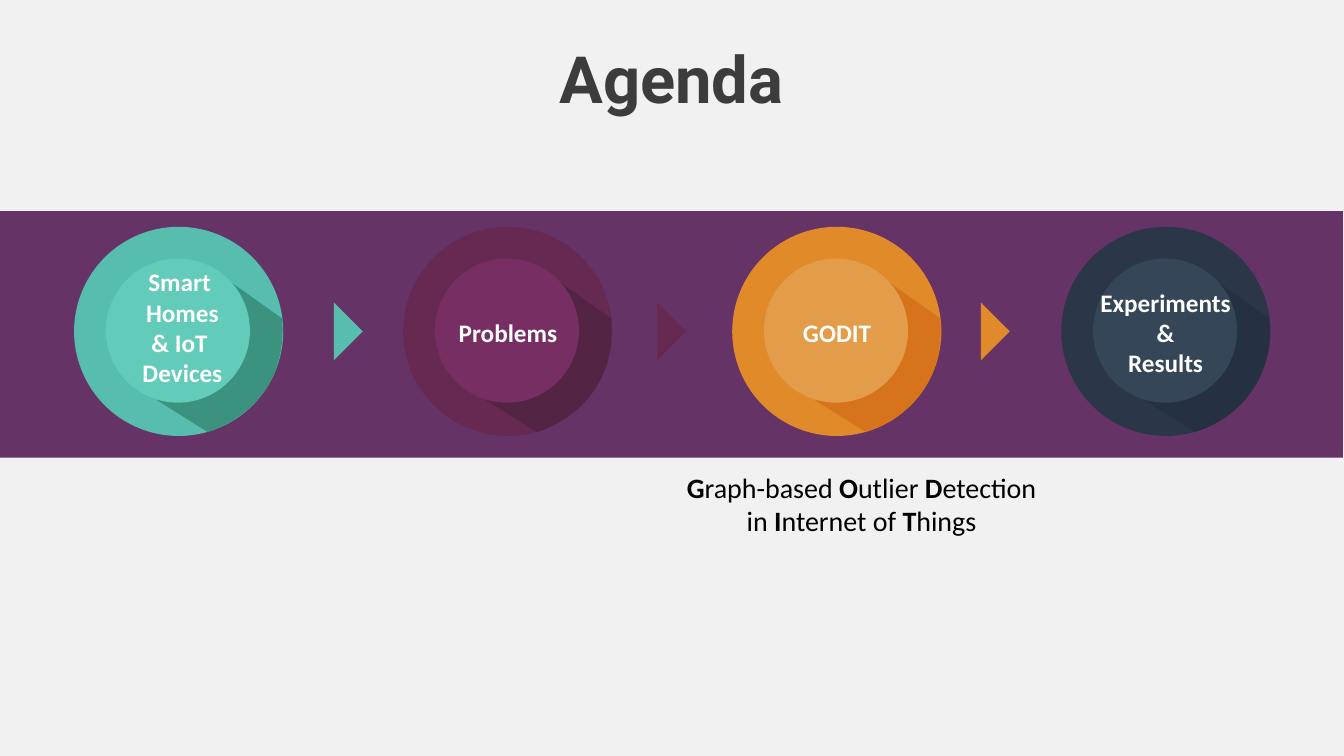
from dataclasses import dataclass

from pptx import Presentation
from pptx.dml.color import RGBColor
from pptx.enum.shapes import MSO_SHAPE as Preset
from pptx.enum.text import MSO_ANCHOR as Anchor
from pptx.enum.text import MSO_AUTO_SIZE as AutoSize
from pptx.enum.text import PP_ALIGN as Align
from pptx.util import Pt

EMU_PER_PX = 9144
WIDTH, HEIGHT = 2667, 1500
BAND_WIDTH = 2665


@dataclass(frozen=True)
class Theme:
    background: str = "F1F1F1"
    band: str = "663366"
    title: str = "3C3C3C"
    label: str = "FFFFFF"
    body: str = "000000"
    teal: tuple = ("56BDAF", "3B927F", "62CBB9")
    plum: tuple = ("662952", "542444", "772F63")
    orange: tuple = ("E08A29", "D6731B", "E39D4A")
    navy: tuple = ("2C3649", "253143", "344658")
    title_font: str = "Roboto"
    body_font: str = "Calibri"
    title_size: int = 93
    label_size: int = 36
    body_size: int = 40


def px(*lengths):
    return [round(length * EMU_PER_PX) for length in lengths]


def bezier(start, control_1, control_2, end, steps=24):
    points = []
    for step in range(1, steps + 1):
        t = step / steps
        weights = ((1 - t) ** 3, 3 * t * (1 - t) ** 2, 3 * t**2 * (1 - t), t**3)
        corners = (start, control_1, control_2, end)
        points.append(tuple(sum(w * c[axis] for w, c in zip(weights, corners)) for axis in (0, 1)))
    return points


class AgendaSlide:
    """Draws the elements of an agenda slide in one theme."""

    def __init__(self, presentation, theme):
        self.theme = theme
        self.slide = presentation.slides.add_slide(presentation.slide_layouts[5])
        self.shapes = self.slide.shapes
        background = self.slide.background.fill
        background.solid()
        background.fore_color.rgb = RGBColor.from_string(theme.background)

    def paint(self, shape, color):
        shape.shadow.inherit = False
        shape.fill.solid()
        shape.fill.fore_color.rgb = RGBColor.from_string(color)
        shape.line.fill.background()
        return shape

    def preset(self, shapes, kind, box, color):
        return self.paint(shapes.add_shape(kind, *px(*box)), color)

    def frame(self, shape, wrap=True, auto_size=AutoSize.SHAPE_TO_FIT_TEXT):
        frame = shape.text_frame
        frame.margin_left = frame.margin_right = frame.margin_top = frame.margin_bottom = 0
        frame.vertical_anchor = Anchor.MIDDLE
        frame.word_wrap = wrap
        frame.auto_size = auto_size
        return frame

    def style(self, paragraph, font_name, size, color, bold=None):
        paragraph.alignment = Align.CENTER
        font = paragraph.font
        font.name, font.size, font.bold = font_name, Pt(size), bold
        font.color.rgb = RGBColor.from_string(color)

    def title(self, text, box):
        title = self.shapes.title
        title.left, title.top, title.width, title.height = px(*box)
        frame = self.frame(title, auto_size=AutoSize.NONE)
        frame.text = text
        theme = self.theme
        self.style(frame.paragraphs[0], theme.title_font, theme.title_size, theme.title, True)

    def band(self, box):
        self.preset(self.shapes, Preset.RECTANGLE, box, self.theme.band)

    def arrow(self, left, color):
        arrow = self.preset(self.shapes, Preset.RIGHT_TRIANGLE, (left, 617, 81, 81), color)
        arrow.rotation = 225

    def long_shadow(self, shapes, left, top, color):
        outline = [(265, 407), *bezier((265, 407), (265, 407), (427, 365), (413, 182)), (313, 111)]
        points = [px(left + x, top + y) for x, y in outline]
        builder = shapes.build_freeform(*px(left + 164, top + 344))
        builder.add_line_segments(points, close=True)
        self.paint(builder.convert_to_shape(), color)

    def milestone(self, left, colors, lines, label_box, wrap):
        ring, shadow, disc = colors
        top = 450
        shapes = self.shapes.add_group_shape().shapes
        self.preset(shapes, Preset.OVAL, (left, top, 415, 415), ring)
        self.long_shadow(shapes, left, top, shadow)
        self.preset(shapes, Preset.OVAL, (left + 63, top + 63, 286, 286), disc)
        frame = self.frame(shapes.add_textbox(*px(*label_box)), wrap)
        frame.text = "\n".join(lines)
        theme = self.theme
        for paragraph in frame.paragraphs:
            self.style(paragraph, theme.body_font, theme.label_size, theme.label, True)

    def acronym(self, parts, box):
        paragraph = self.frame(self.shapes.add_textbox(*px(*box))).paragraphs[0]
        for initial, rest in parts:
            for text, bold in ((initial, True), (rest, False)):
                run = paragraph.add_run()
                run.text, run.font.bold = text, bold
        theme = self.theme
        self.style(paragraph, theme.body_font, theme.body_size, theme.body)


def main():
    presentation = Presentation()
    presentation.slide_width, presentation.slide_height = px(WIDTH, HEIGHT)
    theme = Theme()
    agenda = AgendaSlide(presentation, theme)
    agenda.title("Agenda", (0, 72, BAND_WIDTH, 165))
    agenda.band((0, 419, BAND_WIDTH, 489))

    for index, colors in enumerate((theme.teal, theme.plum, theme.orange)):
        agenda.arrow(622 + 642 * index, colors[0])

    milestones = [
        (theme.teal, ["Smart ", "Homes", "& IoT ", "Devices"], (199, 528, 326, 242), True),
        (theme.plum, ["Problems"], (887, 629, 242, 61), False),
        (theme.orange, ["GODIT"], (1570, 629, 182, 61), False),
        (theme.navy, ["Experiments", "&", "Results"], (2151, 569, 324, 182), False),
    ]
    for index, milestone in enumerate(milestones):
        agenda.milestone(147 + 653 * index, *milestone)

    agenda.acronym(
        [("G", "raph-based "), ("O", "utlier "), ("D", "etection in "), ("I", "nternet of "), ("T", "hings")],
        (1345, 932, 729, 135),
    )
    presentation.save("out.pptx")


if __name__ == "__main__":
    main()
